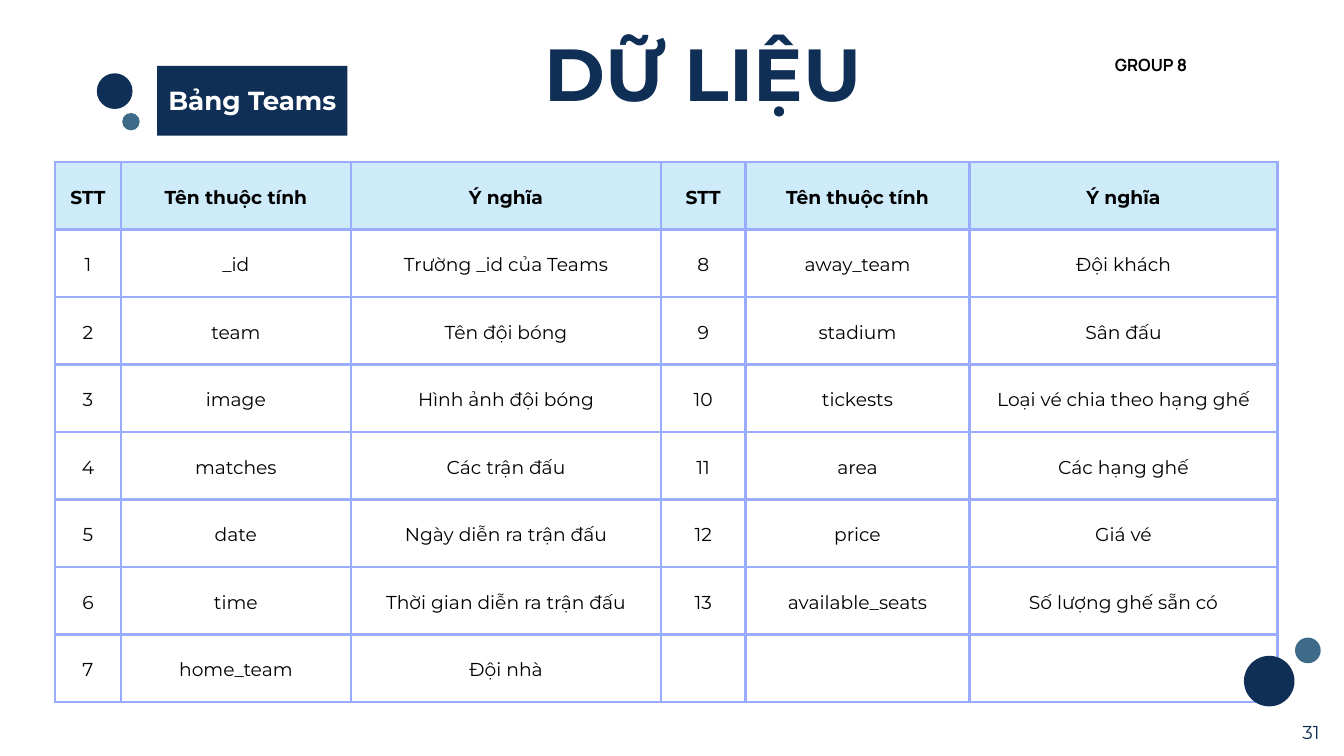
from lxml.etree import SubElement
from pptx import Presentation
from pptx.dml.color import RGBColor
from pptx.enum.shapes import MSO_SHAPE as Shape
from pptx.enum.text import MSO_ANCHOR as Anchor, MSO_AUTO_SIZE as AutoSize, PP_ALIGN as Align
from pptx.oxml.ns import qn
from pptx.util import Cm, Pt

NAVY = RGBColor(0x0F, 0x2F, 0x56)
TEAL = RGBColor(0x3E, 0x6B, 0x88)
HEADER_BLUE = RGBColor(0xCE, 0xEB, 0xFA)
BORDER_BLUE = RGBColor(0x99, 0xAC, 0xFF)
BLACK = RGBColor(0, 0, 0)
WHITE = RGBColor(0xFF, 0xFF, 0xFF)

COLUMN_WIDTHS = [2.49, 8.69, 11.73, 3.18, 8.48, 11.63]
HEADINGS = ["STT", "Tên thuộc tính", "Ý nghĩa"]
ATTRIBUTES = [
    ("_id", "Trường _id của Teams"),
    ("team", "Tên đội bóng"),
    ("image", "Hình ảnh đội bóng"),
    ("matches", "Các trận đấu"),
    ("date", "Ngày diễn ra trận đấu"),
    ("time", "Thời gian diễn ra trận đấu"),
    ("home_team", "Đội nhà"),
    ("away_team", "Đội khách"),
    ("stadium", "Sân đấu"),
    ("tickests", "Loại vé chia theo hạng ghế"),
    ("area", "Các hạng ghế"),
    ("price", "Giá vé"),
    ("available_seats", "Số lượng ghế sẵn có"),
]
ROWS_PER_HALF = 7


def write(frame, text, size, color, spacing, bold=True, align=Align.LEFT, font="Montserrat"):
    frame.text = text
    paragraph = frame.paragraphs[0]
    paragraph.alignment = align
    paragraph.line_spacing = Pt(spacing)
    for run in paragraph.runs:
        run.font.name = font
        run.font.size = Pt(size)
        run.font.bold = bold
        run.font.color.rgb = color


def clear_margins(frame):
    frame.margin_left = frame.margin_right = frame.margin_top = frame.margin_bottom = 0
    frame.word_wrap = True


def add_title(slide, left, top, width, height):
    title = slide.shapes.title
    title.left, title.top, title.width, title.height = Cm(left), Cm(top), Cm(width), Cm(height)
    frame = title.text_frame
    clear_margins(frame)
    frame.auto_size = AutoSize.NONE
    frame.vertical_anchor = Anchor.TOP
    write(frame, "DỮ LIỆU", 79, NAVY, 75.8)


def add_label(slide, left, top, width, height, text, size, color, spacing, **style):
    label = slide.shapes.add_textbox(Cm(left), Cm(top), Cm(width), Cm(height))
    clear_margins(label.text_frame)
    write(label.text_frame, text, size, color, spacing, **style)


def add_filled(slide, preset, left, top, width, height, color):
    filled = slide.shapes.add_shape(preset, Cm(left), Cm(top), Cm(width), Cm(height))
    filled.shadow.inherit = False
    filled.fill.solid()
    filled.fill.fore_color.rgb = color
    filled.line.fill.background()
    return filled


def add_badge(slide, left, top, width, height):
    frame = add_filled(slide, Shape.RECTANGLE, left, top, width, height, NAVY).text_frame
    clear_margins(frame)
    frame.margin_top = Cm(0.18)
    frame.vertical_anchor = Anchor.MIDDLE
    write(frame, "Bảng Teams", 28, WHITE, 28, align=Align.CENTER)


def add_dots(slide, left, top, width, height, large, small, small_on_top):
    large_drop, small_drop = (height - large, 0) if small_on_top else (0, height - small)
    add_filled(slide, Shape.OVAL, left, top + large_drop, large, large, NAVY)
    add_filled(slide, Shape.OVAL, left + width - small, top + small_drop, small, small, TEAL)


def border_cell(cell):
    properties = cell._tc.get_or_add_tcPr()
    for side in ("a:lnL", "a:lnR", "a:lnT", "a:lnB"):
        line = SubElement(properties, qn(side), w=str(Pt(3)))
        fill = SubElement(line, qn("a:solidFill"))
        SubElement(fill, qn("a:srgbClr"), val=str(BORDER_BLUE))


def table_rows():
    numbered = [(str(n), *attribute) for n, attribute in enumerate(ATTRIBUTES, 1)]
    numbered += [("", "", "")] * (2 * ROWS_PER_HALF - len(numbered))
    halves = zip(numbered[:ROWS_PER_HALF], numbered[ROWS_PER_HALF:])
    return [HEADINGS * 2] + [first + second for first, second in halves]


def add_attribute_table(slide, left, top, height):
    rows = table_rows()
    table = slide.shapes.add_table(
        len(rows), len(COLUMN_WIDTHS), Cm(left), Cm(top), Cm(sum(COLUMN_WIDTHS)), Cm(height)
    ).table
    table.first_row = table.horz_banding = False
    for column, width in zip(table.columns, COLUMN_WIDTHS):
        column.width = Cm(width)
    for r, values in enumerate(rows):
        for c, value in enumerate(values):
            cell = table.cell(r, c)
            cell.margin_left = cell.margin_right = cell.margin_top = cell.margin_bottom = Cm(0.53)
            cell.vertical_anchor = Anchor.MIDDLE
            border_cell(cell)
            if r == 0:
                cell.fill.solid()
                cell.fill.fore_color.rgb = HEADER_BLUE
            else:
                cell.fill.background()
            if value:
                write(cell.text_frame, value, 20, BLACK, 28, bold=r == 0, align=Align.CENTER)


def main():
    deck = Presentation()
    deck.slide_width = Cm(50.8)
    deck.slide_height = deck.slide_width * 9 // 16
    slide = deck.slides.add_slide(deck.slide_layouts[5])

    add_title(slide, 20.57, 1.73, 13.03, 2.84)
    add_label(slide, 42.14, 1.96, 5.82, 0.91, "GROUP 8", 18, BLACK, 25.2, font="Manrope")
    add_attribute_table(slide, 2.08, 6.12, 20.42)
    add_badge(slide, 5.94, 2.49, 7.19, 2.64)
    add_dots(slide, 3.66, 2.77, 1.62, 2.16, 1.35, 0.66, small_on_top=False)
    add_dots(slide, 47.02, 24.1, 2.9, 2.6, 1.91, 0.97, small_on_top=True)
    add_label(slide, 48.84, 27.28, 1.42, 0.81, "31", 20, NAVY, 23.4, bold=False, align=Align.CENTER)

    deck.save("out.pptx")


if __name__ == "__main__":
    main()
